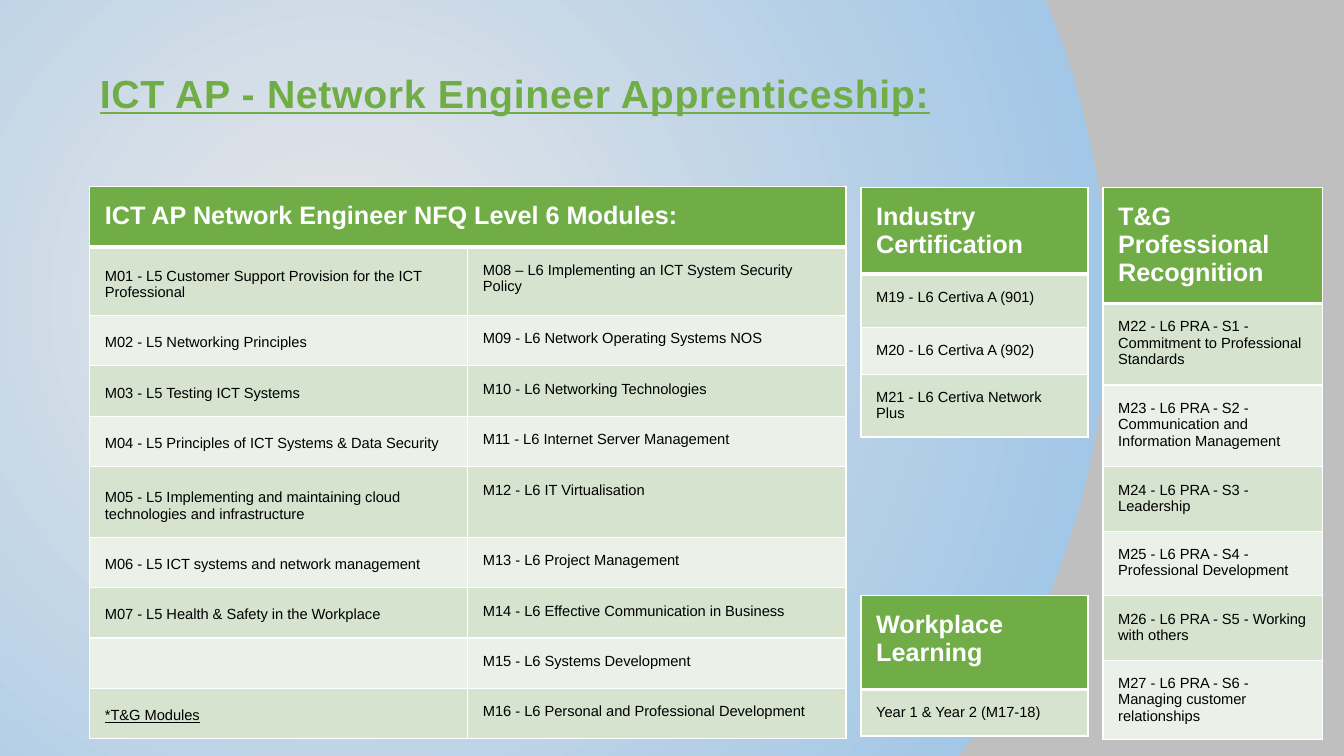
from dataclasses import dataclass

from lxml import etree
from pptx import Presentation
from pptx import util as u
from pptx.dml import color
from pptx.enum import text
from pptx.oxml import ns

SCALE = 9144  # EMU in one px, 100 px to the inch
PAD = 15


@dataclass(frozen=True)
class Theme:
    font: str = "Arial"
    green: str = "70AD47"
    white: str = "FFFFFF"
    black: str = "000000"
    bands: tuple[str, str] = ("D5E3CF", "EBF1E9")
    glow: tuple[str, ...] = ("E8E7E7", "A3C7E7", "C0BFBF")
    title: float = 28
    head: float = 18
    body: float = 10.5
    thin: float = 1
    thick: float = 3


@dataclass(frozen=True)
class Grid:
    left: int
    top: int
    cols: list[int]
    highs: list[int]
    head: str
    rows: list[tuple[str, ...]]


THEME = Theme()
NOTE = "*T&G Modules"

GRIDS = [
    Grid(89, 185, [375, 375], [60, 68, 50, 50, 50, 70, 50, 50, 50, 50],
         "ICT AP Network Engineer NFQ Level 6 Modules:", [
        ("M01 - L5 Customer Support Provision for the ICT Professional",
         "M08 – L6 Implementing an ICT System Security Policy"),
        ("M02 - L5 Networking Principles",
         "M09 - L6 Network Operating Systems NOS"),
        ("M03 - L5 Testing ICT Systems",
         "M10 - L6 Networking Technologies"),
        ("M04 - L5 Principles of ICT Systems & Data Security",
         "M11 - L6 Internet Server Management"),
        ("M05 - L5 Implementing and maintaining cloud technologies "
         "and infrastructure",
         "M12 - L6 IT Virtualisation"),
        ("M06 - L5 ICT systems and network management",
         "M13 - L6 Project Management"),
        ("M07 - L5 Health & Safety in the Workplace",
         "M14 - L6 Effective Communication in Business"),
        ("", "M15 - L6 Systems Development"),
        (NOTE, "M16 - L6 Personal and Professional Development"),
    ]),
    Grid(854, 186, [225], [75, 53, 44, 55], "Industry Certification", [
        ("M19 - L6 Certiva A (901)",),
        ("M20 - L6 Certiva A (902)",),
        ("M21 - L6 Certiva Network Plus",),
    ]),
    Grid(1094, 186, [218], [115, 81, 81, 64, 64, 64, 64],
         "T&G Professional Recognition", [
        ("M22 - L6 PRA - S1 - Commitment to Professional Standards",),
        ("M23 - L6 PRA - S2 - Communication and Information Management",),
        ("M24 - L6 PRA - S3 - Leadership",),
        ("M25 - L6 PRA - S4 - Professional Development",),
        ("M26 - L6 PRA - S5 - Working with others",),
        ("M27 - L6 PRA - S6 - Managing customer relationships",),
    ]),
    Grid(854, 591, [225], [93, 37], "Workplace Learning", [
        ("Year 1 & Year 2 (M17-18)",),
    ]),
]


def px(size: int) -> int:
    return u.Emu(size * SCALE)


def style(para, size: float, tint: str, bold: bool, under: bool) -> None:
    for run in para.runs:
        font = run.font
        font.name, font.size = THEME.font, u.Pt(size)
        font.bold, font.underline = bold, under
        font.color.rgb = color.RGBColor.from_string(tint)


def backdrop(slide) -> None:
    """Fill the slide with a round glow and a hard outer edge."""
    fill = slide.background.fill
    fill.gradient()
    grad = next(slide.element.iter(ns.qn("a:gradFill")))
    for child in list(grad):
        grad.remove(child)
    stops = etree.SubElement(grad, ns.qn("a:gsLst"))
    for place, tint in zip((0, 100000, 100000), THEME.glow):
        stop = etree.SubElement(stops, ns.qn("a:gs"), pos=str(place))
        etree.SubElement(stop, ns.qn("a:srgbClr"), val=tint)
    ring = etree.SubElement(grad, ns.qn("a:path"), path="circle")
    etree.SubElement(ring, ns.qn("a:fillToRect"),
                     l="50000", t="80000", r="100000", b="100000")


def border(cell, base: float) -> None:
    """Draw white edges, with the bottom one at its own weight."""
    props = cell._tc.get_or_add_tcPr()
    for spot, side in enumerate("LRTB"):
        weight = base if side == "B" else THEME.thin
        line = etree.Element(ns.qn(f"a:ln{side}"), w=str(u.Pt(weight)))
        solid = etree.SubElement(line, ns.qn("a:solidFill"))
        etree.SubElement(solid, ns.qn("a:srgbClr"), val=THEME.white)
        props.insert(spot, line)


def paint(cell, words: str, tint: str, head: bool, low: bool) -> None:
    cell.text_frame.text = words
    if words:
        cell.margin_left = cell.margin_right = px(PAD)
        cell.margin_top = cell.margin_bottom = px(PAD)
    cell.vertical_anchor = (text.MSO_ANCHOR.BOTTOM if low
                            else text.MSO_ANCHOR.TOP)
    cell.fill.solid()
    cell.fill.fore_color.rgb = color.RGBColor.from_string(tint)
    border(cell, THEME.thick if head else THEME.thin)
    style(cell.text_frame.paragraphs[0],
          THEME.head if head else THEME.body,
          THEME.white if head else THEME.black, head, words == NOTE)


def draw(slide, grid: Grid) -> None:
    wide = len(grid.cols)
    table = slide.shapes.add_table(
        len(grid.highs), wide, px(grid.left), px(grid.top),
        px(sum(grid.cols)), px(sum(grid.highs))).table
    for col, width in zip(table.columns, grid.cols):
        col.width = px(width)
    for row, high in zip(table.rows, grid.highs):
        row.height = px(high)

    # Header row
    for x in range(wide):
        paint(table.cell(0, x), "" if x else grid.head,
              THEME.green, True, False)
    if wide > 1:
        table.cell(0, 0).merge(table.cell(0, wide - 1))

    # Banded rows; the left of two columns sits low
    for y, row in enumerate(grid.rows):
        for x, words in enumerate(row):
            paint(table.cell(y + 1, x), words, THEME.bands[y % 2],
                  False, x < wide - 1)


def main() -> None:
    deck = Presentation()
    deck.slide_width, deck.slide_height = px(1333), px(750)
    slide = deck.slides.add_slide(deck.slide_layouts[5])
    backdrop(slide)

    # Title
    title = slide.shapes.title
    title.left, title.top = px(89), px(30)
    title.width, title.height = px(1156), px(125)
    frame = title.text_frame
    frame.text = "ICT AP - Network Engineer Apprenticeship:"
    frame.vertical_anchor = text.MSO_ANCHOR.MIDDLE
    para = frame.paragraphs[0]
    para.alignment = text.PP_ALIGN.LEFT
    style(para, THEME.title, THEME.green, True, True)
    para.runs[0].font._element.set("spc", "50")

    # Module tables
    for grid in GRIDS:
        draw(slide, grid)
    deck.save("out.pptx")


if __name__ == "__main__":
    main()
